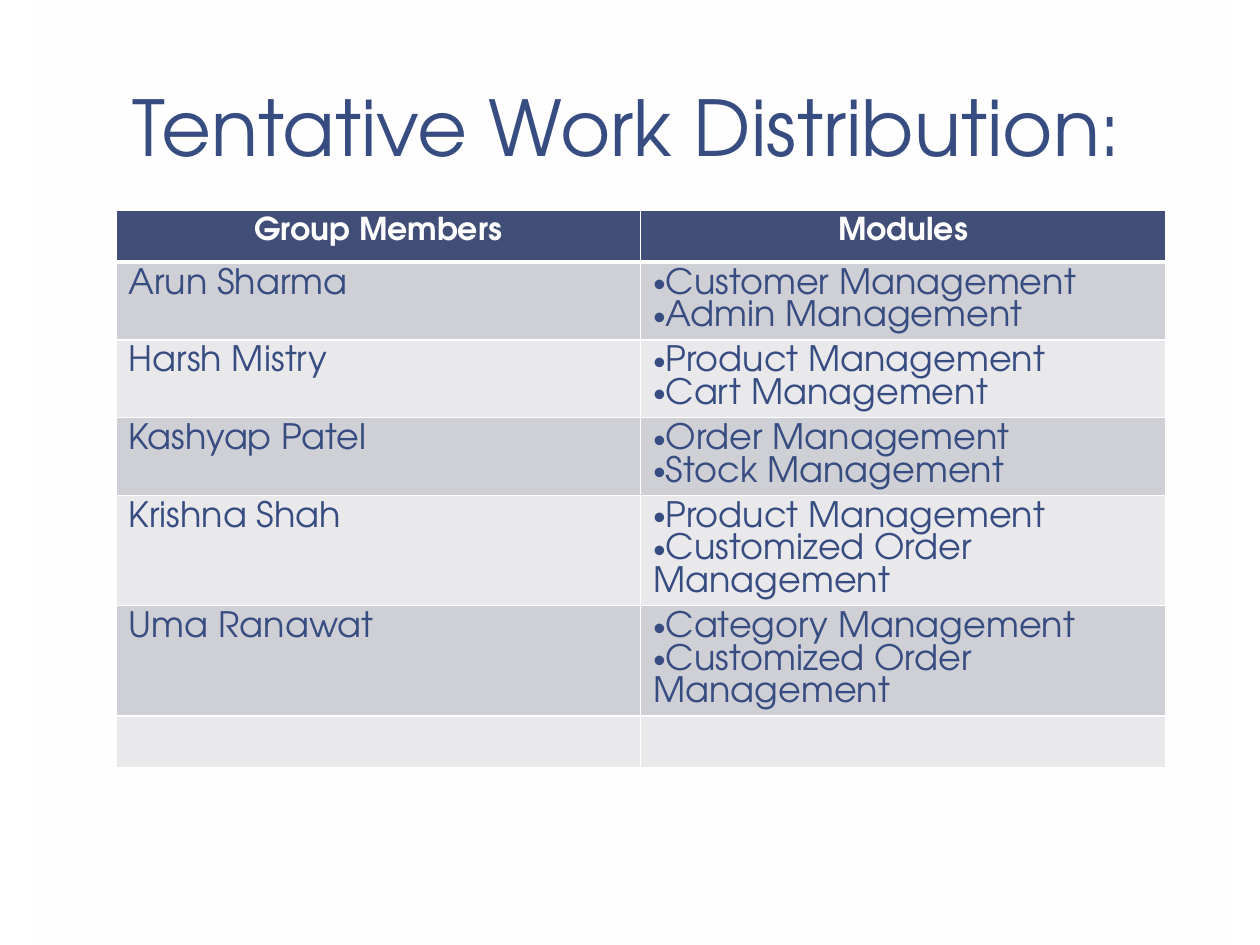
"""Build a slide with a table of group members and their modules."""
from lxml import etree
from pptx import Presentation, util as u
from pptx.dml.color import RGBColor
from pptx.enum import shapes, text
from pptx.oxml.ns import qn

TITLE = "Tentative Work Distribution:"
HEADINGS = ("Group Members", "Modules")
ASSIGNMENTS = [
    ("Arun Sharma", ("Customer Management", "Admin Management")),
    ("Harsh Mistry", ("Product Management", "Cart Management")),
    ("Kashyap Patel", ("Order Management", "Stock Management")),
    ("Krishna Shah", ("Product Management", "Customized Order Management")),
    ("Uma Ranawat", ("Category Management", "Customized Order Management")),
    ("", ()),
]
THEME = {
    "font": "TeX Gyre Adventor",
    "ink": "374C81", "header": "414E77", "white": "FFFFFF",
    "bands": ("CFD0D6", "E9E9EC"),
    "title_size": 44, "header_size": 18, "body_size": 20,
    "rule": 1, "header_rule": 3,
}
LEFT, WIDTH = 0.92, 8.33
TABLE_TOP, ROW_HEIGHT = 1.67, 0.41


def rgb(name):
    return RGBColor.from_string(THEME.get(name, name))


def add_run(paragraph, words, size, color, bold=False):
    run = paragraph.add_run()
    run.text = words
    run.font.name = THEME["font"]
    run.font.size = u.Pt(THEME[size])
    run.font.color.rgb = rgb(color)
    run.font.bold = bold


def add_bullet(paragraph):
    properties = paragraph._p.get_or_add_pPr()
    properties.set("marL", "0")
    properties.set("indent", "0")
    etree.SubElement(properties, qn("a:buFont"), typeface="Arial")
    etree.SubElement(properties, qn("a:buChar"), char="•")


def style_cell(cell, color, top, bottom):
    properties = cell._tc.get_or_add_tcPr()
    widths = {"lnL": THEME["rule"], "lnR": THEME["rule"], "lnT": top, "lnB": bottom}
    for side, width in widths.items():
        line = etree.SubElement(properties, qn(f"a:{side}"), w=str(u.Pt(width)))
        fill = etree.SubElement(line, qn("a:solidFill"))
        etree.SubElement(fill, qn("a:srgbClr"), val=THEME["white"])
    cell.fill.solid()
    cell.fill.fore_color.rgb = rgb(color)


def write_lines(cell, lines, size, color, bold=False, centred=False, bulleted=False):
    frame = cell.text_frame
    for index, words in enumerate(lines):
        paragraph = frame.add_paragraph() if index else frame.paragraphs[0]
        if centred:
            paragraph.alignment = text.PP_ALIGN.CENTER
        if bulleted:
            add_bullet(paragraph)
        add_run(paragraph, words, size, color, bold)


def add_backdrop(slide):
    backdrop = slide.shapes.add_shape(
        shapes.MSO_SHAPE.RECTANGLE, u.Inches(0.25), 0, u.Inches(9.5), u.Inches(7.5))
    backdrop.shadow.inherit = False
    backdrop.line.fill.background()
    backdrop.fill.gradient()
    backdrop.fill.gradient_angle = 230
    for stop in backdrop.fill.gradient_stops:
        stop.color.rgb = rgb("white")
    last_color = backdrop._element.spPr.findall(".//" + qn("a:srgbClr"))[-1]
    etree.SubElement(last_color, qn("a:alpha"), val="55000")
    slide.shapes._spTree.insert(2, backdrop._element)


def add_title(slide):
    title = slide.shapes.title
    title.left, title.top = u.Inches(LEFT), u.Inches(0.25)
    title.width, title.height = u.Inches(WIDTH), u.Inches(1.19)
    frame = title.text_frame
    frame.word_wrap = True
    frame.auto_size = text.MSO_AUTO_SIZE.NONE
    frame.vertical_anchor = text.MSO_ANCHOR.BOTTOM
    frame.margin_left = frame.margin_right = u.Inches(0.13)
    frame.margin_top = frame.margin_bottom = u.Inches(0.07)
    paragraph = frame.paragraphs[0]
    paragraph.alignment = text.PP_ALIGN.LEFT
    paragraph.line_spacing = 0.85
    add_run(paragraph, TITLE, "title_size", "ink")


def add_assignments(slide):
    row_count = len(ASSIGNMENTS) + 1
    table = slide.shapes.add_table(
        row_count, len(HEADINGS), u.Inches(LEFT), u.Inches(TABLE_TOP),
        u.Inches(WIDTH), u.Inches(ROW_HEIGHT * row_count)).table
    rule, header_rule = THEME["rule"], THEME["header_rule"]
    for column, heading in enumerate(HEADINGS):
        cell = table.cell(0, column)
        style_cell(cell, "header", rule, header_rule)
        write_lines(cell, [heading], "header_size", "white", bold=True, centred=True)
    for row, (member, modules) in enumerate(ASSIGNMENTS, 1):
        member_cell, module_cell = table.rows[row].cells
        for cell in (member_cell, module_cell):
            style_cell(cell, THEME["bands"][(row - 1) % 2],
                       header_rule if row == 1 else rule, rule)
        if member:
            write_lines(member_cell, [member], "body_size", "ink")
            write_lines(module_cell, modules, "body_size", "ink", bulleted=True)


def main():
    deck = Presentation()
    deck.slide_width, deck.slide_height = u.Inches(10), u.Inches(7.5)
    slide = deck.slides.add_slide(deck.slide_layouts[5])
    slide.background.fill.solid()
    slide.background.fill.fore_color.rgb = rgb("white")
    add_backdrop(slide)
    add_title(slide)
    add_assignments(slide)
    deck.save("out.pptx")


if __name__ == "__main__":
    main()
